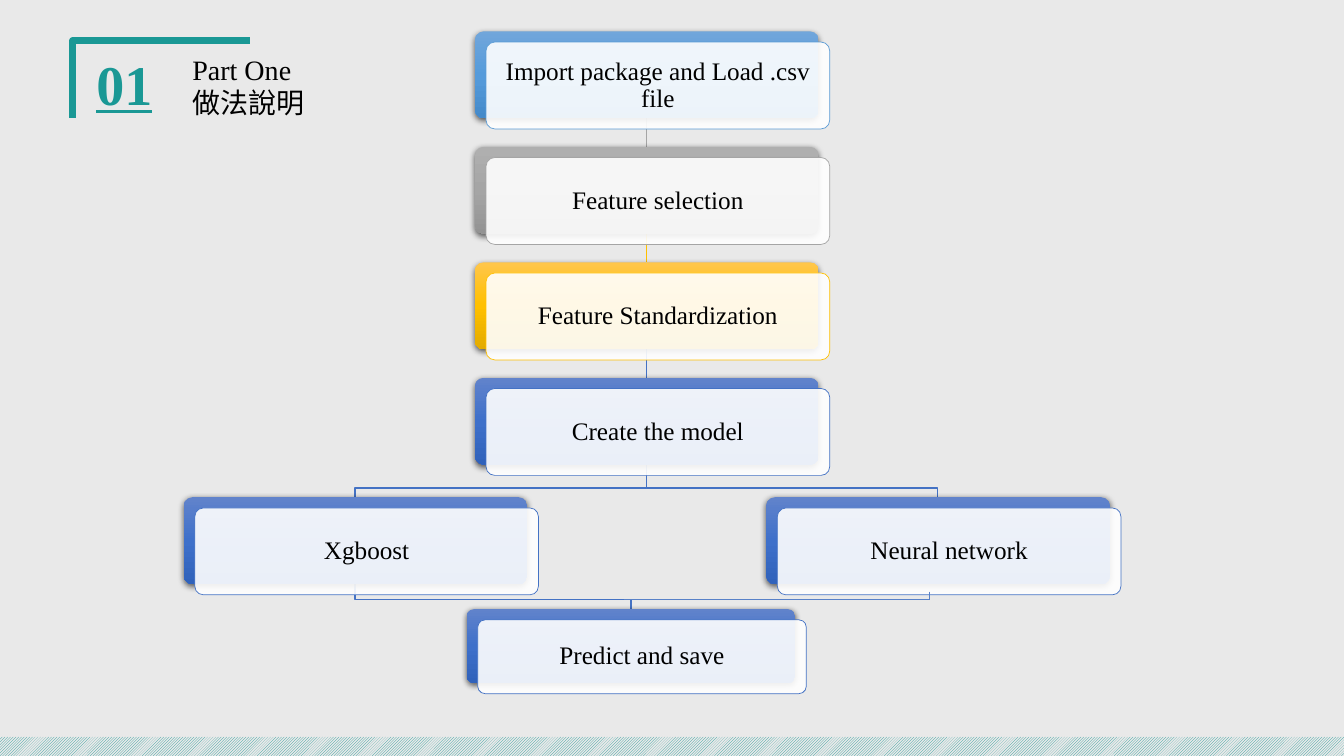
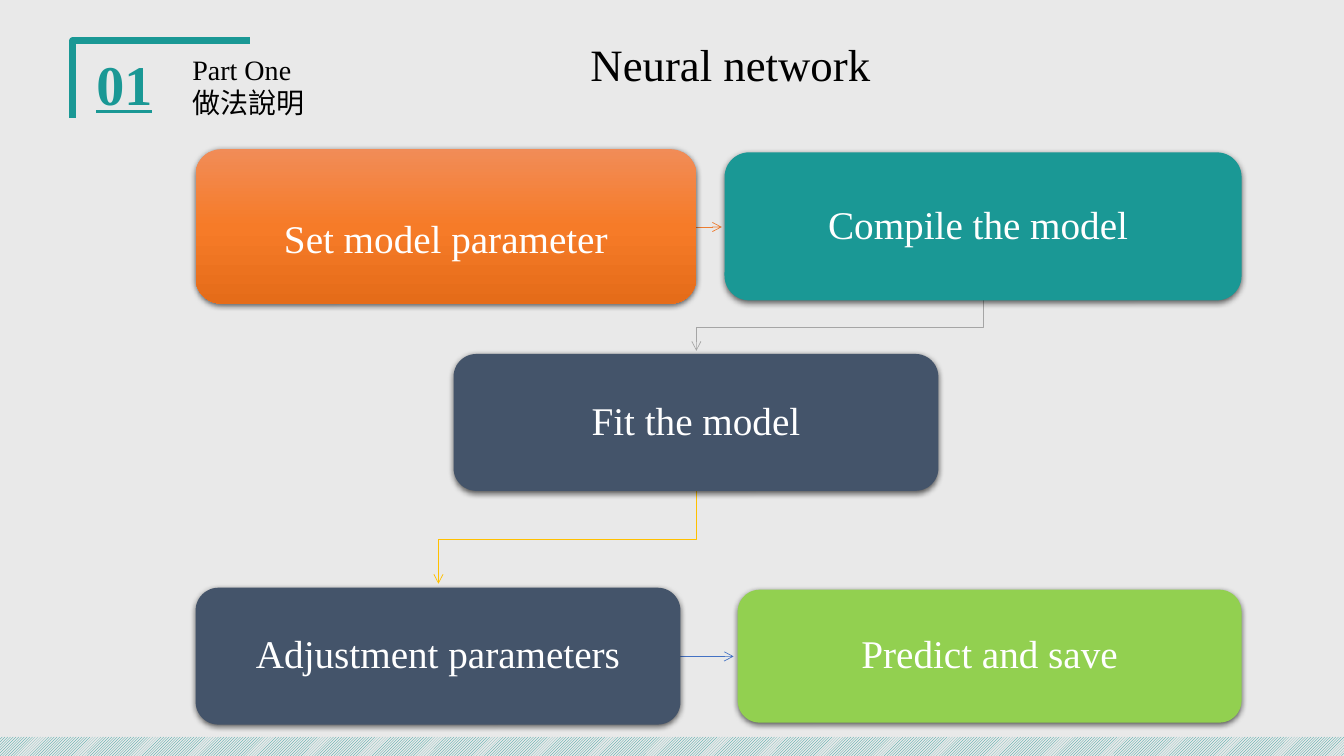
from copy import deepcopy

from lxml import etree
from pptx import Presentation
from pptx.dml.color import RGBColor
from pptx.enum.dml import MSO_PATTERN
from pptx.enum.shapes import MSO_CONNECTOR, MSO_SHAPE
from pptx.enum.text import MSO_ANCHOR, MSO_AUTO_SIZE, PP_ALIGN
from pptx.oxml.ns import qn
from pptx.util import Cm, Pt

RECT = MSO_SHAPE.RECTANGLE
ROUND = MSO_SHAPE.ROUNDED_RECTANGLE
LINE = MSO_CONNECTOR.STRAIGHT
HATCH = MSO_PATTERN.LIGHT_UPWARD_DIAGONAL
MID = MSO_ANCHOR.MIDDLE
CENTER = PP_ALIGN.CENTER
GROW = MSO_AUTO_SIZE.SHAPE_TO_FIT_TEXT

FONT = "Times New Roman"
INK = {
    "page": "E9E9E9", "teal": "1A9895", "black": "000000", "white": "FFFFFF",
    "sky": "5B9BD5", "gray": "A5A5A5", "gold": "FFC000", "blue": "4472C4",
    "steel": "5881C8", "orange": "ED7D31", "slate": "44546A", "green": "92D050",
}
# Top, middle and bottom of each vertical gradient
FADE = {
    "sky": ("71A6DB", "559BDB", "448ACA"),
    "gray": ("AFAFAF", "A5A5A5", "939393"),
    "gold": ("FFC64B", "FFC000", "E3AB00"),
    "blue": ("6183CB", "3E70CA", "3062BB"),
    "orange": ("F18C57", "F67B28", "E56C19"),
}


def rgb(name):
    return RGBColor.from_string(INK[name])


def node(parent, tag, **attrs):
    return etree.SubElement(parent, qn(tag), attrs)


class Deck:
    def __init__(self):
        self.prs = Presentation()
        self.prs.slide_width, self.prs.slide_height = Cm(33.87), Cm(19.05)
        fill = self.prs.slide_master.background.fill
        fill.solid()
        fill.fore_color.rgb = rgb("page")

    def page(self):
        """Start a slide with the corner, the footer band and the heading."""
        self.slide = self.prs.slides.add_slide(self.prs.slide_layouts[6])
        self.shapes = self.slide.shapes
        self.path_line([(1.83, 2.97), (1.83, 1.02), (6.3, 1.02)], "teal", 4.5)
        band = self.box(RECT, 0, 18.57, 33.87, 0.48)
        band.fill.patterned()
        band.fill.pattern = HATCH
        band.fill.fore_color.rgb = rgb("teal")
        band.fill.back_color.rgb = rgb("page")
        self.text(["01"], 2.18, 1.12, 2.41, 1.96, 40, "teal", strong=True)
        self.text(["Part One", "做法說明"], 4.6, 1.19, 6.1, 1.96, 20)

    def run(self, para, words, size, ink):
        run = para.add_run()
        run.text = words
        run.font.name, run.font.size = FONT, Pt(size)
        run.font.color.rgb = rgb(ink)
        return run

    def text(self, lines, x, y, w, h, size, ink="black", strong=False, wrap=True):
        frame = self.shapes.add_textbox(Cm(x), Cm(y), Cm(w), Cm(h)).text_frame
        frame.word_wrap, frame.auto_size = wrap, GROW
        for i, words in enumerate(lines):
            para = frame.add_paragraph() if i else frame.paragraphs[0]
            run = self.run(para, words, size, ink)
            if strong:
                run.font.bold = run.font.underline = True

    def box(self, kind, x, y, w, h):
        shape = self.shapes.add_shape(kind, Cm(x), Cm(y), Cm(w), Cm(h))
        shape.shadow.inherit = False
        shape.line.fill.background()
        return shape

    def paint(self, shape, ink):
        """Fill with a gradient where the colour has one, else plainly."""
        if ink not in FADE:
            shape.fill.solid()
            shape.fill.fore_color.rgb = rgb(ink)
            return
        shape.fill.gradient()
        shape.fill.gradient_angle = 270
        stops = shape._element.spPr.find(".//" + qn("a:gsLst"))
        stops.insert(1, deepcopy(stops[0]))
        for i, stop in enumerate(shape.fill.gradient_stops):
            stop.position = i / 2
            stop.color.rgb = RGBColor.from_string(FADE[ink][i])

    def shade(self, shape):
        drop = node(shape._element.spPr.find(qn("a:effectLst")), "a:outerShdw",
                    blurRad="57150", dist="19050", dir="5400000",
                    algn="ctr", rotWithShape="0")
        node(node(drop, "a:srgbClr", val=INK["black"]), "a:alpha", val="63000")

    def label(self, shape, words, size, ink, inset, space=0.9):
        frame = shape.text_frame
        frame.word_wrap, frame.vertical_anchor = True, MID
        frame.margin_left = frame.margin_right = Cm(inset)
        frame.margin_top = frame.margin_bottom = Cm(inset)
        para = frame.paragraphs[0]
        para.alignment, para.line_spacing = CENTER, space
        self.run(para, words, size, ink)

    def card(self, words, ink, x, y, w=8.66, h=2.19):
        """A coloured back plate with a translucent white front."""
        back = self.box(ROUND, x, y, w, h)
        self.paint(back, ink)
        self.shade(back)
        front = self.box(ROUND, x + 0.28, y + 0.27, w, h)
        self.paint(front, "white")
        node(front._element.spPr.find(".//" + qn("a:srgbClr")),
             "a:alpha", val="90000")
        front.line.color.rgb, front.line.width = rgb(ink), Pt(0.5)
        for plate in (back, front):
            plate.adjustments[0] = 0.1
        self.label(front, words, 18, "black", 0.18)

    def block(self, words, ink, x, y, w, h, space=0.9):
        shape = self.box(ROUND, x, y, w, h)
        self.paint(shape, ink)
        self.shade(shape)
        self.label(shape, words, 28, "white", 0.56, space)

    def path_line(self, points, ink, width=1, arrow=False):
        """Two points make a connector, more make an open outline."""
        spots = [(Cm(x), Cm(y)) for x, y in points]
        if len(spots) == 2:
            shape = self.shapes.add_connector(LINE, *spots[0], *spots[1])
        else:
            pen = self.shapes.build_freeform(*spots[0])
            pen.add_line_segments(spots[1:], close=False)
            shape = pen.convert_to_shape()
            shape.fill.background()
            shape.shadow.inherit = False
        shape.line.color.rgb, shape.line.width = rgb(ink), Pt(width)
        if len(spots) == 2:
            node(shape._element.spPr, "a:effectLst")
        if arrow:
            node(shape.line._ln, "a:tailEnd", type="arrow")

    def elbow(self, x1, y1, mid, x2, y2, ink, width=1, arrow=False):
        self.path_line([(x1, y1), (x1, mid), (x2, mid), (x2, y2)],
                       ink, width, arrow)


deck = Deck()

# Slide 1: the whole workflow
deck.page()
STEPS = [("Import package and Load .csv file", "sky"),
         ("Feature selection", "gray"),
         ("Feature Standardization", "gold"),
         ("Create the model", "blue")]
LEFT, TOP, STEP, HIGH = 11.97, 0.79, 2.91, 2.19
AXIS, REACH, FORK = 16.29, 7.34, 12.53

deck.elbow(AXIS - REACH, FORK + HIGH, 15.11, 15.9, 15.35, "blue")
for side in (-REACH, REACH):
    deck.elbow(AXIS, TOP + 3 * STEP + HIGH, 12.3, AXIS + side, FORK, "blue")
for i, (words, ink) in enumerate(STEPS[1:], 1):
    y = TOP + i * STEP
    deck.path_line([(AXIS, y - STEP + HIGH), (AXIS, y)], ink)
for i, (words, ink) in enumerate(STEPS):
    deck.card(words, ink, LEFT, TOP + i * STEP)
deck.card("Neural network", "blue", LEFT + REACH, FORK)
deck.card("Xgboost", "blue", LEFT - REACH, FORK)
deck.card("Predict and save", "blue", 11.76, 15.35, 8.28, 1.86)
deck.path_line([(23.4, 15.11), (15.72, 15.11)], "steel")
deck.path_line([(23.42, 14.91), (23.42, 15.11)], "steel")

# Slide 2: the neural network branch
deck.page()
deck.path_line([(17.55, 5.72), (18.19, 5.72)], "orange", 0.5, True)
deck.elbow(24.79, 7.57, 8.26, 17.55, 8.84, "gray", 0.5, True)
deck.elbow(17.55, 12.37, 13.59, 11.05, 14.71, "gold", 0.5, True)
deck.path_line([(17.15, 16.54), (18.49, 16.54)], "blue", 0.5, True)
deck.block(" Set model parameter ", "orange", 4.93, 3.76, 12.62, 3.89, 1.5)
deck.block("Compile the model ", "teal", 18.26, 3.84, 13.03, 3.73)
deck.block("Fit the model", "slate", 11.43, 8.92, 12.22, 3.45)
deck.block("Adjustment parameters", "slate", 4.93, 14.81, 12.22, 3.45)
deck.block("Predict and save", "green", 18.59, 14.86, 12.7, 3.35)
deck.text(["Neural network"], 14.63, 0.79, 7.65, 1.63, 32, wrap=False)

deck.prs.save("out.pptx")
